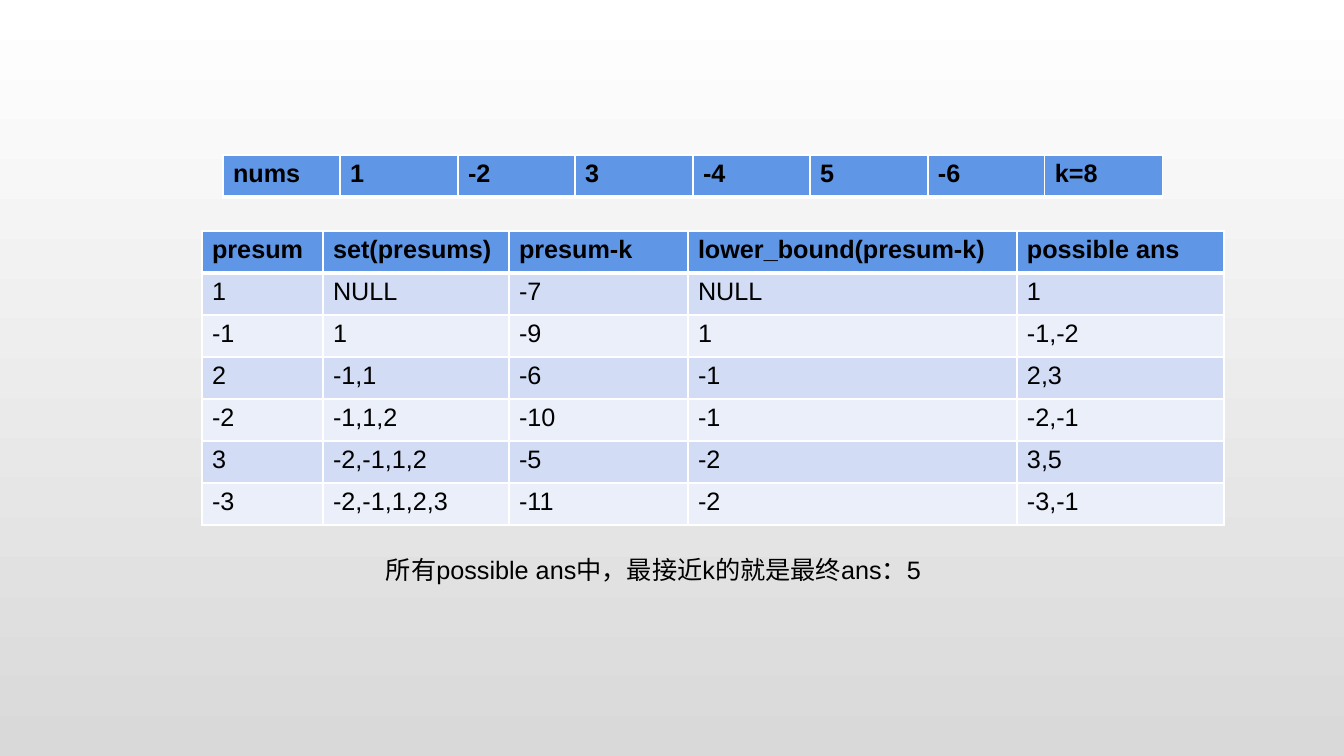
"""Build a slide tabulating prefix sums and candidate answers for k=8."""
from lxml import etree
from pptx import Presentation
from pptx.dml.color import RGBColor
from pptx.enum.text import MSO_AUTO_SIZE
from pptx.oxml.ns import qn
from pptx.util import Emu, Pt

GROW = MSO_AUTO_SIZE.SHAPE_TO_FIT_TEXT
THEME = {
    "font": "Arial", "size": 18, "text": "000000",
    "header": "6096E6", "bands": ("D2DDF5", "EAEFFA"),
    "border": "FFFFFF", "thin": 1, "thick": 3,
    "background": ("FFFFFF", "D9D9D9"),
}
ROW_HEIGHT = 42


def px(length):
    return Emu(round(length * 914400 / 100.8))


def add_grid(page, left, top, widths, rows):
    frame = page.shapes.add_table(len(rows), len(widths), px(left), px(top),
                                  px(sum(widths)), px(ROW_HEIGHT * len(rows)))
    table = frame.table
    for column, width in zip(table.columns, widths):
        column.width = px(width)
    for r, values in enumerate(rows):
        table.rows[r].height = px(ROW_HEIGHT)
        for c, value in enumerate(values):
            cell = table.cell(r, c)
            cell.text = value
            font = cell.text_frame.paragraphs[0].font
            font.name, font.size, font.bold = THEME["font"], Pt(THEME["size"]), r == 0
            font.color.rgb = RGBColor.from_string(THEME["text"])
            properties = cell._tc.get_or_add_tcPr()
            for side in "LRTB":
                below_header = (r, side) in ((0, "B"), (1, "T"))
                weight = THEME["thick" if below_header else "thin"]
                line = etree.SubElement(properties, qn(f"a:ln{side}"), w=str(Pt(weight)))
                fill = etree.SubElement(line, qn("a:solidFill"))
                etree.SubElement(fill, qn("a:srgbClr"), val=THEME["border"])
            shade = THEME["bands"][(r - 1) % 2] if r else THEME["header"]
            cell.fill.solid()
            cell.fill.fore_color.rgb = RGBColor.from_string(shade)


deck = Presentation()
deck.slide_width, deck.slide_height = px(1344), px(756)
page = deck.slides.add_slide(deck.slide_layouts[6])

backdrop = page.background.fill
backdrop.gradient()
backdrop.gradient_angle = 270
for stop, position, color in zip(backdrop.gradient_stops, (0, 1), THEME["background"]):
    stop.position = position
    stop.color.rgb = RGBColor.from_string(color)

add_grid(page, 202, 231, [121, 186, 179, 329, 207], [
    ["presum", "set(presums)", "presum-k", "lower_bound(presum-k)", "possible ans"],
    ["1", "NULL", "-7", "NULL", "1"],
    ["-1", "1", "-9", "1", "-1,-2"],
    ["2", "-1,1", "-6", "-1", "2,3"],
    ["-2", "-1,1,2", "-10", "-1", "-2,-1"],
    ["3", "-2,-1,1,2", "-5", "-2", "3,5"],
    ["-3", "-2,-1,1,2,3", "-11", "-2", "-3,-1"],
])
add_grid(page, 223, 155, [117, 118] * 4,
         [["nums", "1", "-2", "3", "-4", "5", "-6", "k=8"]])

box = page.shapes.add_textbox(px(376), px(549), px(555), px(40))
box.text_frame.word_wrap = True
box.text_frame.auto_size = GROW
para = box.text_frame.paragraphs[0]
para.text = "所有possible ans中，最接近k的就是最终ans：5"
para.font.name, para.font.size = THEME["font"], Pt(THEME["size"])
para.font.color.rgb = RGBColor.from_string(THEME["text"])

deck.save("out.pptx")
